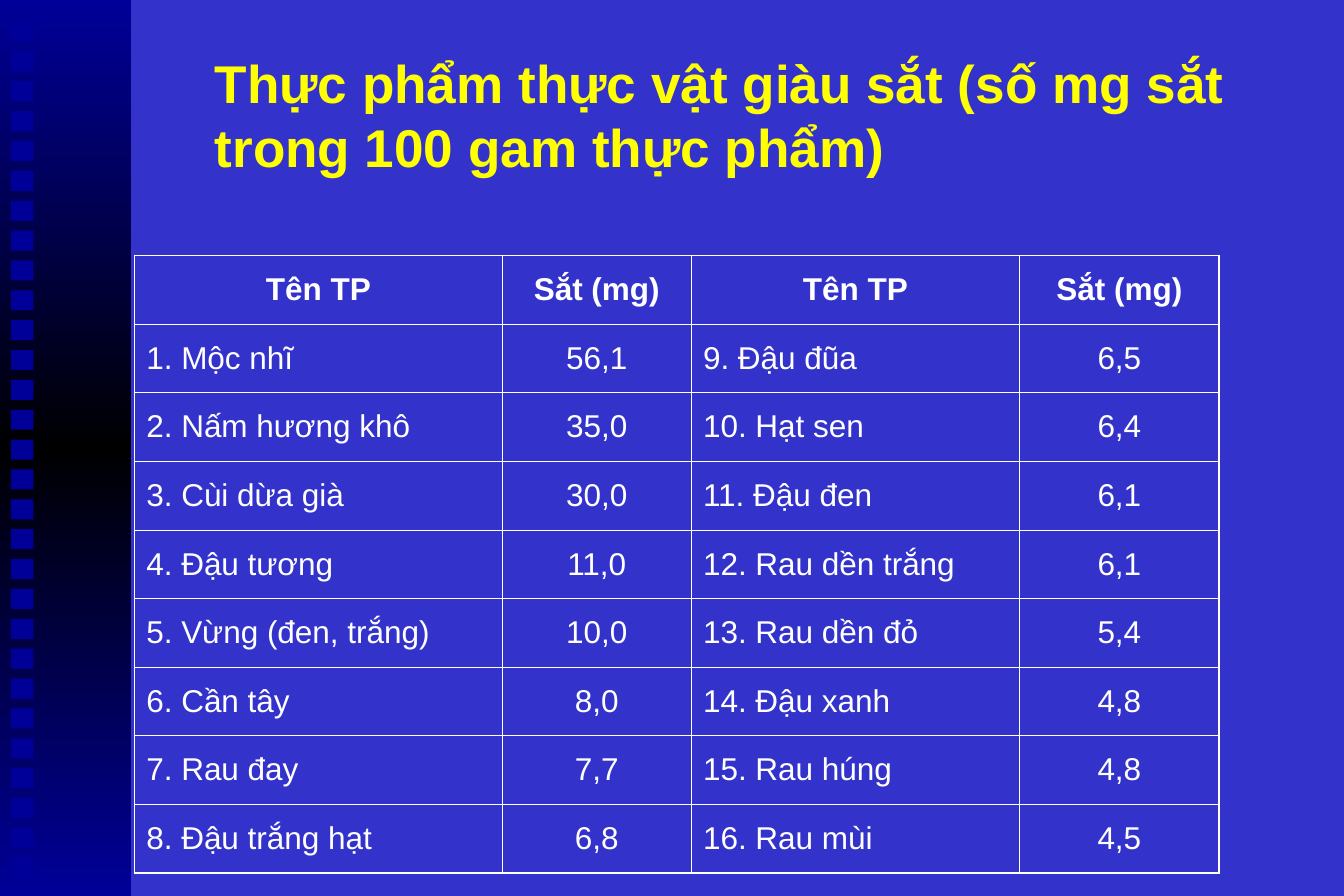
from copy import deepcopy

from pptx import Presentation
from pptx.dml.color import RGBColor
from pptx.enum.shapes import MSO_SHAPE
from pptx.enum.text import MSO_ANCHOR, PP_ALIGN
from pptx.oxml import parse_xml
from pptx.oxml.ns import nsdecls, qn
from pptx.util import Inches, Pt

COLORS = {"back": "3333CC", "navy": "000099", "black": "000000",
          "title": "FFFF00", "text": "FFFFFF"}
FONT = "Arial"
COLS, ROWS = 45, 30
THIN, THICK = 0.45, 1.08

TITLE = "Thực phẩm thực vật giàu sắt (số mg sắt trong 100 gam thực phẩm)"
HEADER = ["Tên TP", "Sắt (mg)"] * 2
FOODS = [
    ("Mộc nhĩ", "56,1"), ("Nấm hương khô", "35,0"),
    ("Cùi dừa già", "30,0"), ("Đậu tương", "11,0"),
    ("Vừng (đen, trắng)", "10,0"), ("Cần tây", "8,0"),
    ("Rau đay", "7,7"), ("Đậu trắng hạt", "6,8"),
    ("Đậu đũa", "6,5"), ("Hạt sen", "6,4"),
    ("Đậu đen", "6,1"), ("Rau dền trắng", "6,1"),
    ("Rau dền đỏ", "5,4"), ("Đậu xanh", "4,8"),
    ("Rau húng", "4,8"), ("Rau mùi", "4,5"),
]


def rgb(name):
    return RGBColor.from_string(COLORS[name])


def write(tf, text, size=19, color="text", bold=False, align=PP_ALIGN.LEFT):
    p = tf.paragraphs[0]
    p.alignment = align
    r = p.add_run()
    r.text = text
    r.font.name, r.font.size, r.font.bold = FONT, Pt(size), bold
    r.font.color.rgb = rgb(color)


class Deck:
    """Draws styled elements on a slide measured in grid columns and rows."""

    def __init__(self, width, height):
        self.prs = Presentation()
        self.prs.slide_width, self.prs.slide_height = Inches(width), Inches(height)
        self.s = self.prs.slides.add_slide(self.prs.slide_layouts[6])
        self.s.background.fill.solid()
        self.s.background.fill.fore_color.rgb = rgb("back")

    def x(self, cols):
        return round(self.prs.slide_width * cols / COLS)

    def y(self, rows):
        return round(self.prs.slide_height * rows / ROWS)

    def box(self, left, top, width, height):
        return self.x(left), self.y(top), self.x(width), self.y(height)

    def rect(self, *place, color="navy"):
        sp = self.s.shapes.add_shape(MSO_SHAPE.RECTANGLE, *self.box(*place))
        sp.shadow.inherit = False
        sp.line.fill.background()
        sp.fill.solid()
        sp.fill.fore_color.rgb = rgb(color)
        return sp

    def gradient_rect(self, *place, colors):
        sp = self.rect(*place)
        sp.fill.gradient()
        sp.fill.gradient_angle = 90
        stops = sp._element.spPr.find(".//" + qn("a:gsLst"))
        for _ in colors[2:]:
            stops.insert(1, deepcopy(stops[0]))
        for i, (stop, color) in enumerate(zip(sp.fill.gradient_stops, colors)):
            stop.position = i / (len(colors) - 1)
            stop.color.rgb = rgb(color)

    def title(self, text, *place):
        tf = self.s.shapes.add_textbox(*self.box(*place)).text_frame
        tf.word_wrap = True
        tf.vertical_anchor = MSO_ANCHOR.MIDDLE
        tf.margin_left = tf.margin_right = Inches(0.11)
        tf.margin_top = tf.margin_bottom = Inches(0.06)
        write(tf, text, size=32, color="title", bold=True)

    def border(self, cell, side, width):
        cell._tc.get_or_add_tcPr().append(parse_xml(
            f'<a:{side} {nsdecls("a")} w="{Pt(width)}"><a:solidFill>'
            f'<a:srgbClr val="{COLORS["text"]}"/></a:solidFill></a:{side}>'))

    def table(self, data, left, top, widths, height):
        last_row, last_col = len(data) - 1, len(widths) - 1
        frame = self.s.shapes.add_table(len(data), len(widths),
                                        *self.box(left, top, sum(widths), height))
        table = frame.table
        table.horz_banding = False
        for column, width in zip(table.columns, widths):
            column.width = self.x(width)
        for i, row in enumerate(data):
            table.rows[i].height = self.y(height / len(data))
            for j, text in enumerate(row):
                cell = table.cell(i, j)
                cell.vertical_anchor = MSO_ANCHOR.MIDDLE
                edges = {"lnL": j == 0, "lnR": j == last_col,
                         "lnT": i == 0, "lnB": i == last_row}
                for side, outer in edges.items():
                    self.border(cell, side, THICK if outer else THIN)
                cell.fill.background()
                centred = i == 0 or j % 2
                write(cell.text_frame, text, bold=i == 0,
                      align=PP_ALIGN.CENTER if centred else PP_ALIGN.LEFT)


def main():
    deck = Deck(11.25, 7.5)
    deck.gradient_rect(0, 0, 4.4, ROWS, colors=["navy", "black", "navy"])
    for i in range(ROWS - 1):
        deck.rect(0.36, 0.72 + i, 0.76, 0.67)
    deck.title(TITLE, 6.75, 1.33, 36, 5)

    items = [(f"{n}. {food}", iron) for n, (food, iron) in enumerate(FOODS, 1)]
    half = len(items) // 2
    body = [a + b for a, b in zip(items[:half], items[half:])]
    deck.table([HEADER] + body, 4.5, 8.55, [12.32, 6.32, 11, 6.68], 20.68)
    deck.prs.save("out.pptx")


if __name__ == "__main__":
    main()
